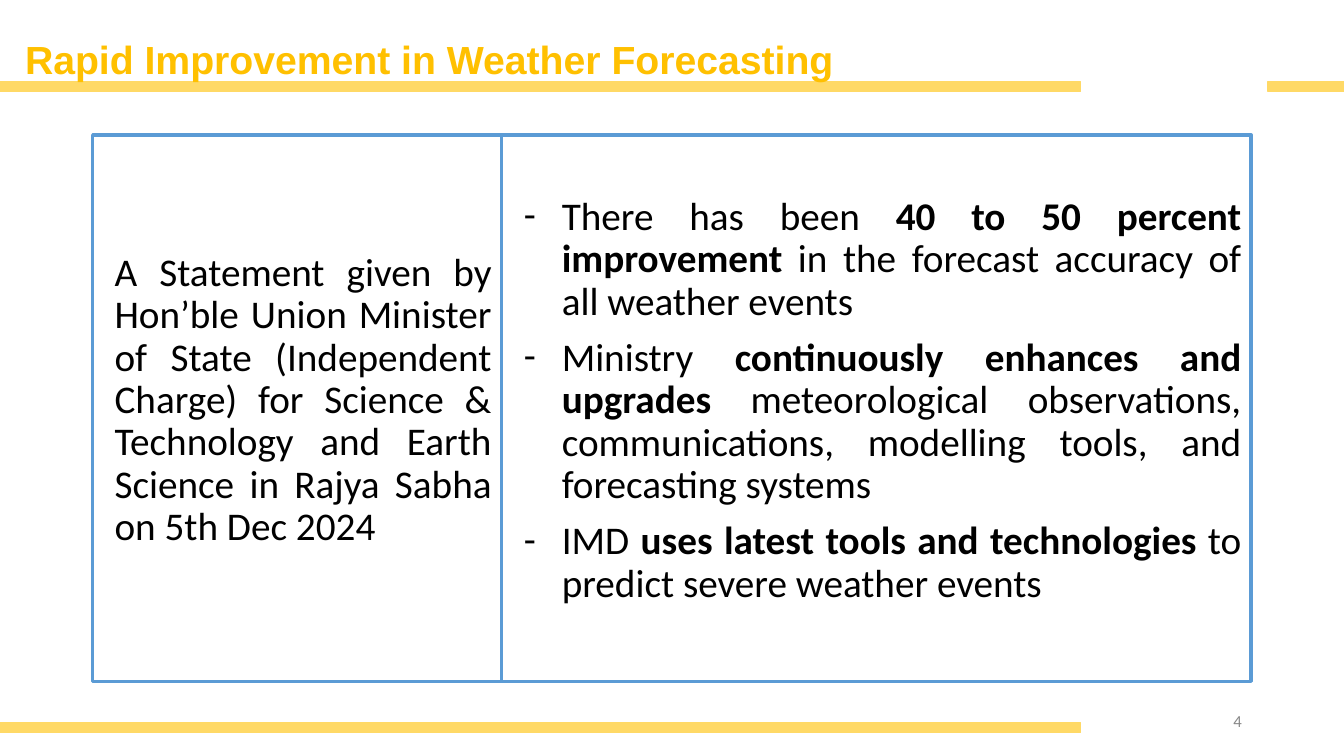
from lxml.etree import SubElement
from pptx import Presentation
from pptx.dml.color import RGBColor
from pptx.enum.shapes import MSO_SHAPE
from pptx.enum.text import MSO_ANCHOR, PP_ALIGN
from pptx.oxml.ns import qn
from pptx.util import Pt

BAND = RGBColor(0xFF, 0xD9, 0x66)
GOLD = RGBColor(0xFF, 0xC0, 0x00)
BLUE = RGBColor(0x5B, 0x9B, 0xD5)
BLACK = RGBColor(0, 0, 0)
GRAY = RGBColor(0x88, 0x88, 0x88)

BANDS = [(0, 58.3, 772), (905.8, 58.3, 54.2), (0, 516.2, 772)]
STATEMENT = (
    "A Statement given by Hon’ble Union Minister of State (Independent Charge) "
    "for Science & Technology and Earth Science in Rajya Sabha on 5th Dec 2024"
)
POINTS = [
    ("There has been ", "40 to 50 percent improvement ",
     "in the forecast accuracy of all weather events"),
    ("Ministry ", "continuously enhances and upgrades ",
     "meteorological observations, communications, modelling tools, and forecasting systems"),
    ("IMD ", "uses latest tools and technologies ",
     "to predict severe weather events"),
]


def add_rectangle(slide, left, top, width, height, line_color, line_width):
    shape = slide.shapes.add_shape(
        MSO_SHAPE.RECTANGLE, Pt(left), Pt(top), Pt(width), Pt(height))
    shape.shadow.inherit = False
    shape.fill.background()
    shape.line.color.rgb = line_color
    shape.line.width = Pt(line_width)
    return shape


def add_band(slide, left, top, width):
    band = add_rectangle(slide, left, top, width, 7.2, BAND, 1)
    band.fill.solid()
    band.fill.fore_color.rgb = BAND


def add_run(paragraph, text, size, color, bold=False, font="Calibri"):
    run = paragraph.add_run()
    run.text = text
    run.font.name = font
    run.font.size = Pt(size)
    run.font.bold = bold
    run.font.color.rgb = color


def add_label(slide, left, top, width, height):
    frame = slide.shapes.add_textbox(Pt(left), Pt(top), Pt(width), Pt(height)).text_frame
    frame.word_wrap = True
    frame.vertical_anchor = MSO_ANCHOR.MIDDLE
    return frame.paragraphs[0]


def add_panel(slide, left, width, text_top):
    frame = add_rectangle(slide, left, 96.5, width, 390.2, BLUE, 2.5).text_frame
    frame.word_wrap = True
    frame.vertical_anchor = MSO_ANCHOR.TOP
    frame.margin_top = Pt(text_top)
    return frame


def format_body(paragraph, margin, indent=0):
    paragraph.alignment = PP_ALIGN.JUSTIFY
    paragraph.line_spacing = 0.9
    properties = paragraph._p.get_or_add_pPr()
    properties.set("marL", str(Pt(margin)))
    properties.set("indent", str(Pt(indent)))
    return properties


def add_points(frame, points):
    for index, (opening, emphasis, ending) in enumerate(points):
        paragraph = frame.add_paragraph() if index else frame.paragraphs[0]
        if index:
            paragraph.space_before = Pt(10)
        properties = format_body(paragraph, 36, -27)
        SubElement(properties, qn("a:buFont"), typeface="Calibri")
        SubElement(properties, qn("a:buChar"), char="-")
        add_run(paragraph, opening, 28, BLACK)
        add_run(paragraph, emphasis, 28, BLACK, bold=True)
        add_run(paragraph, ending, 28, BLACK)


def main():
    presentation = Presentation()
    presentation.slide_width = Pt(960)
    presentation.slide_height = Pt(540)
    slide = presentation.slides.add_slide(presentation.slide_layouts[6])

    for left, top, width in BANDS:
        add_band(slide, left, top, width)

    title = add_label(slide, 10.8, 24.5, 721.4, 38.9)
    title.line_spacing = 0.9
    add_run(title, "Rapid Improvement in Weather Forecasting", 28, GOLD, True, "Arial")

    statement = add_panel(slide, 66.2, 292, 84).paragraphs[0]
    format_body(statement, 8.6)
    add_run(statement, STATEMENT, 28, BLACK)

    add_points(add_panel(slide, 358.2, 535.5, 44), POINTS)

    number = add_label(slide, 678.2, 500.4, 216, 28.8)
    number.alignment = PP_ALIGN.RIGHT
    add_run(number, "4", 12, GRAY)

    presentation.save("out.pptx")


if __name__ == "__main__":
    main()
